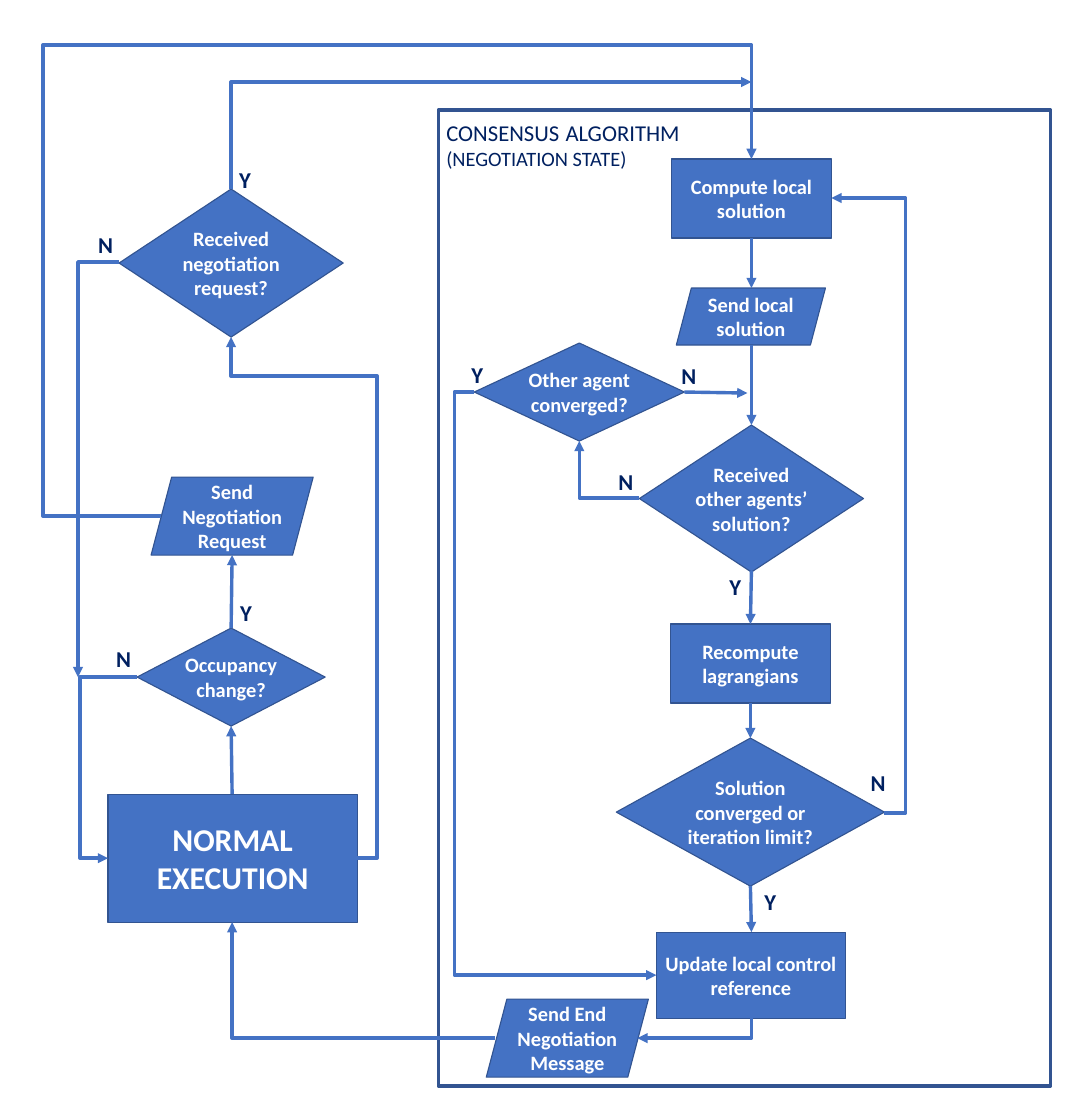
from dataclasses import dataclass

import pptx
import pptx.dml.color
import pptx.enum.shapes
import pptx.enum.text
import pptx.oxml
import pptx.oxml.ns
import pptx.util
from lxml import etree

RGBColor = pptx.dml.color.RGBColor
Shape = pptx.enum.shapes.MSO_SHAPE
Align = pptx.enum.text.PP_ALIGN
Anchor = pptx.enum.text.MSO_ANCHOR

BLUE = RGBColor(0x44, 0x72, 0xC4)
OUTLINE = RGBColor(0x32, 0x54, 0x91)
NAVY = RGBColor(0x00, 0x20, 0x60)
WHITE = RGBColor(0xFF, 0xFF, 0xFF)
FONT = "Calibri"
PIXELS_PER_INCH = 81.5
SLANT = 0.264

Point = tuple[int, int]
Run = tuple[str, int]


@dataclass(frozen=True)
class Step:
    text: str
    kind: Shape
    left: int
    top: int
    width: int
    height: int
    size: int = 18


@dataclass(frozen=True)
class Answer:
    text: str
    left: int
    top: int


@dataclass(frozen=True)
class Flow:
    route: tuple[Point, ...]


STEPS = [
    Step("Received negotiation request?", Shape.DIAMOND, 119, 189, 224, 148),
    Step("Send Negotiation Request", Shape.PARALLELOGRAM, 151, 477, 162, 78),
    Step("Occupancy change?", Shape.DIAMOND, 137, 628, 188, 98),
    Step("NORMAL EXECUTION", Shape.RECTANGLE, 108, 794, 249, 128, 28),
    Step("Compute local solution", Shape.RECTANGLE, 671, 159, 160, 79),
    Step("Send local solution", Shape.PARALLELOGRAM, 676, 288, 149, 57),
    Step("Other agent converged?", Shape.DIAMOND, 474, 343, 210, 98),
    Step("Received other agents’ solution?", Shape.DIAMOND, 639, 425, 224, 147),
    Step("Recompute lagrangians", Shape.RECTANGLE, 670, 624, 160, 79),
    Step("Solution converged or iteration limit?", Shape.DIAMOND, 616, 738, 268, 148),
    Step("Update local control reference", Shape.RECTANGLE, 656, 932, 189, 86),
    Step("Send End Negotiation Message", Shape.PARALLELOGRAM, 486, 999, 162, 78),
]

FLOWS = [
    Flow(((751, 238), (751, 288))),
    Flow(((751, 345), (751, 425))),
    Flow(((751, 571), (750, 624))),
    Flow(((750, 703), (750, 738))),
    Flow(((750, 886), (751, 932))),
    Flow(((639, 498), (579, 498), (579, 441))),
    Flow(((684, 392), (747, 393))),
    Flow(((474, 392), (454, 392), (454, 975), (656, 975))),
    Flow(((884, 813), (905, 813), (905, 198), (831, 198))),
    Flow(((751, 1018), (751, 1038), (637, 1038))),
    Flow(((495, 1038), (232, 1038), (232, 922))),
    Flow(((232, 794), (231, 726))),
    Flow(((231, 628), (232, 555))),
    Flow(((137, 677), (80, 677), (80, 858), (108, 858))),
    Flow(((357, 858), (377, 858), (377, 376), (231, 376), (231, 337))),
    Flow(((161, 516), (43, 516), (43, 45), (751, 45), (751, 159))),
    Flow(((119, 262), (78, 262), (78, 677))),
    Flow(((231, 189), (231, 82), (751, 82))),
]

ANSWERS = [
    Answer("Y", 463, 357),
    Answer("N", 673, 358),
    Answer("Y", 756, 884),
    Answer("N", 862, 765),
    Answer("N", 610, 464),
    Answer("Y", 721, 569),
    Answer("Y", 232, 595),
    Answer("Y", 231, 162),
    Answer("N", 90, 227),
    Answer("N", 108, 641),
]


def px(length: float) -> int:
    return pptx.util.Inches(length / PIXELS_PER_INCH)


def write(frame, paragraphs: list[list[Run]], *, color: RGBColor, bold: bool = False,
          align: Align = Align.LEFT, anchor: Anchor = Anchor.TOP,
          inset: bool = True) -> None:
    frame.word_wrap = True
    frame.vertical_anchor = anchor
    if not inset:
        frame.margin_left = frame.margin_right = 0
        frame.margin_top = frame.margin_bottom = 0
    for index, runs in enumerate(paragraphs):
        paragraph = frame.add_paragraph() if index else frame.paragraphs[0]
        paragraph.alignment = align
        for text, size in runs:
            run = paragraph.add_run()
            run.text = text
            run.font.name = FONT
            run.font.size = pptx.util.Pt(size)
            run.font.bold = bold
            run.font.color.rgb = color


def draw_state_frame(slide) -> None:
    state = slide.shapes.add_shape(Shape.RECTANGLE, px(438), px(110), px(612), px(976))
    state.shadow.inherit = False
    state.fill.background()
    state.line.color.rgb = OUTLINE
    state.line.width = pptx.util.Pt(3)
    title = [("CONSENSUS", 20), (" ", 24), ("ALGORITHM", 20)]
    write(state.text_frame, [title, [("(NEGOTIATION STATE)", 18)]], color=NAVY)


def draw_step(slide, step: Step) -> None:
    block = slide.shapes.add_shape(step.kind, px(step.left), px(step.top),
                                   px(step.width), px(step.height))
    block.shadow.inherit = False
    block.fill.solid()
    block.fill.fore_color.rgb = BLUE
    block.line.color.rgb = OUTLINE
    block.line.width = pptx.util.Pt(1)
    if step.kind == Shape.PARALLELOGRAM:
        block.adjustments[0] = SLANT
    write(block.text_frame, [[(step.text, step.size)]], color=WHITE, bold=True,
          align=Align.CENTER, anchor=Anchor.MIDDLE, inset=step.kind != Shape.DIAMOND)


def draw_answer(slide, answer: Answer) -> None:
    label = slide.shapes.add_textbox(px(answer.left), px(answer.top), px(28), px(36))
    write(label.text_frame, [[(answer.text, 20)]], color=NAVY, bold=True)


def draw_flow(slide, flow: Flow) -> None:
    (x1, y1), *bends, (x2, y2) = flow.route
    dx, dy = x2 - x1, y2 - y1
    starts_vertical = bool(bends) and bends[0][0] == x1
    if starts_vertical:
        middle_x, middle_y = (x1 + x2) / 2, (y1 + y2) / 2
        x1, y1 = middle_x - dy / 2, middle_y + dx / 2
        x2, y2 = middle_x + dy / 2, middle_y - dx / 2
    kind = pptx.enum.shapes.MSO_CONNECTOR
    arrow = slide.shapes.add_connector(kind.ELBOW if bends else kind.STRAIGHT,
                                       px(x1), px(y1), px(x2), px(y2))
    arrow.line.color.rgb = BLUE
    arrow.line.width = pptx.util.Pt(3)
    properties = arrow._element.spPr
    qn = pptx.oxml.ns.qn
    if starts_vertical:
        properties.find(qn("a:xfrm")).set("rot", "5400000")
    if bends:
        geometry = properties.find(qn("a:prstGeom"))
        geometry.set("prst", f"bentConnector{len(bends) + 1}")
        guides = geometry.find(qn("a:avLst"))
        ratios = []
        if len(bends) > 1:
            ratios.append((bends[0][0] - x1) / dx)
        if len(bends) > 2:
            ratios.append((bends[1][1] - y1) / dy)
        for number, ratio in enumerate(ratios, 1):
            etree.SubElement(guides, qn("a:gd"), name=f"adj{number}",
                             fmla=f"val {round(ratio * 100000)}")
    etree.SubElement(properties.find(qn("a:ln")), qn("a:tailEnd"), type="triangle")
    etree.SubElement(properties, qn("a:effectLst"))


presentation = pptx.Presentation()
presentation.slide_width = pptx.util.Inches(13.33)
presentation.slide_height = pptx.util.Inches(13.74)
flowchart = presentation.slides.add_slide(presentation.slide_layouts[6])
draw_state_frame(flowchart)
for step in STEPS:
    draw_step(flowchart, step)
for flow in FLOWS:
    draw_flow(flowchart, flow)
for answer in ANSWERS:
    draw_answer(flowchart, answer)
presentation.save("out.pptx")
